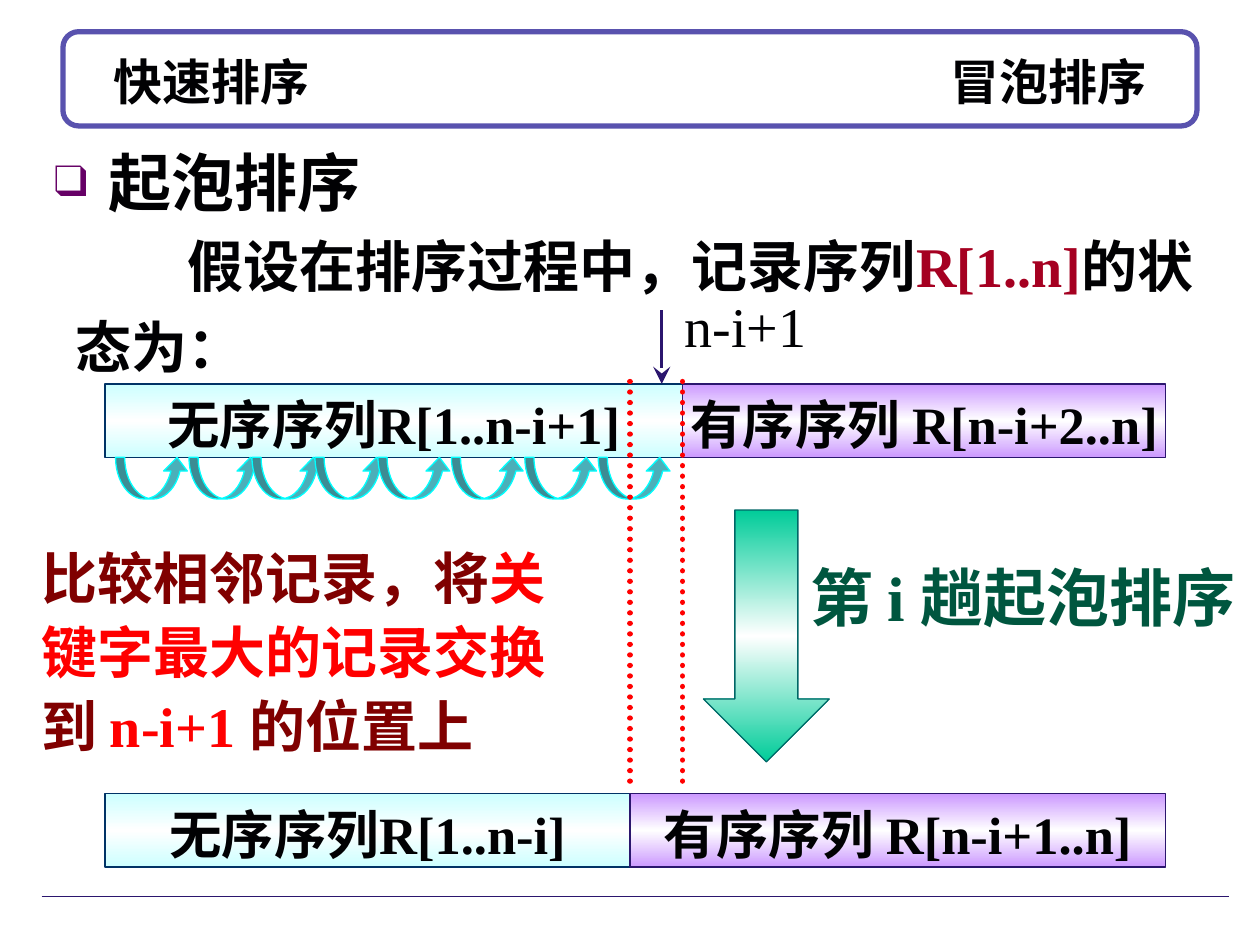
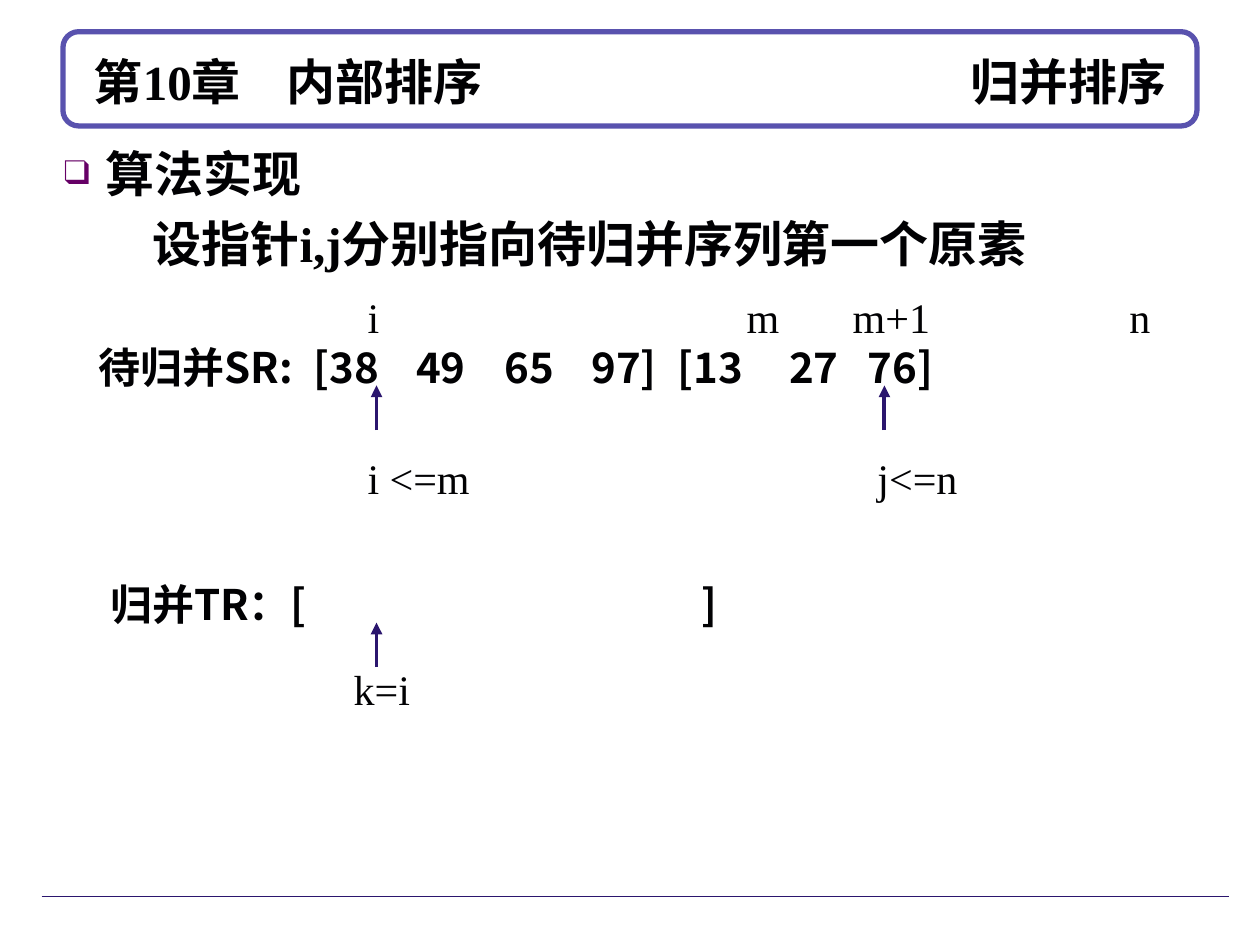
"""Build two slides on bubble sort and merge sort."""
from copy import deepcopy
from dataclasses import dataclass

from lxml import etree
from pptx import Presentation
from pptx import util as u
from pptx.dml.color import RGBColor
from pptx.enum import dml, shapes, text
from pptx.oxml.ns import qn

BLACK = RGBColor(0x01, 0x01, 0x03)
WHITE = RGBColor(0xFF, 0xFF, 0xFF)
NAVY = RGBColor(0x2B, 0x16, 0x6E)
FRAME_VIOLET = RGBColor(0x59, 0x52, 0xAE)
BULLET_PURPLE = RGBColor(0x66, 0x00, 0x66)
CRIMSON = RGBColor(0xA5, 0x00, 0x21)
MAROON = RGBColor(0x80, 0x00, 0x00)
RED = RGBColor(0xFF, 0x00, 0x00)
GREEN = RGBColor(0x00, 0x56, 0x3F)
PALE_CYAN = RGBColor(0xCC, 0xFF, 0xFF)
CYAN = RGBColor(0x00, 0xFF, 0xFF)
DARK_BLUE = RGBColor(0x00, 0x33, 0x66)
LILAC = RGBColor(0xCC, 0x99, 0xFF)
MINT = RGBColor(0x00, 0xCC, 0x99)
TEAL = RGBColor(0x00, 0x66, 0x66)
SWAP_TEAL = RGBColor(0x4B, 0xAF, 0xB9)
SERIF = "Times New Roman"
SANS = "Noto Sans CJK SC"


@dataclass(frozen=True)
class Box:
    left: float
    top: float
    width: float
    height: float

    def lengths(self):
        return [u.Cm(side) for side in (self.left, self.top, self.width, self.height)]


@dataclass(frozen=True)
class Label:
    box: Box
    content: str
    font: str = SERIF
    bold: bool = False
    tabs: tuple = ()


@dataclass(frozen=True)
class Segment:
    box: Box
    content: str
    edge: RGBColor
    line: RGBColor


def write(paragraph, content, *, size=24, color=BLACK, bold=True, font=SERIF,
          spacing=1.1, align=text.PP_ALIGN.LEFT, tabs=(), margin=0.0,
          indent=0.0, bullet=False, before=0.0):
    """Write text, or (text, colour) pairs, with its paragraph format."""
    paragraph.alignment = align
    paragraph.line_spacing = spacing
    paragraph.space_before = u.Pt(before)
    properties = paragraph._p.get_or_add_pPr()
    if margin or indent:
        properties.set("marL", str(u.Cm(margin)))
        properties.set("indent", str(u.Cm(indent)))
    if bullet:
        bullet_color = etree.SubElement(properties, qn("a:buClr"))
        etree.SubElement(bullet_color, qn("a:srgbClr"), val=str(BULLET_PURPLE))
        etree.SubElement(properties, qn("a:buSzPct"), val="70000")
        etree.SubElement(properties, qn("a:buFont"), typeface=SERIF)
        etree.SubElement(properties, qn("a:buChar"), char="❑")
    if tabs:
        tab_list = etree.SubElement(properties, qn("a:tabLst"))
        for position, kind in tabs:
            etree.SubElement(tab_list, qn("a:tab"), pos=str(u.Cm(position)), algn=kind)
    pieces = [(content, color)] if isinstance(content, str) else content
    for piece, piece_color in pieces:
        run = paragraph.add_run()
        run.text = piece
        run.font.size = u.Pt(size)
        run.font.bold = bold
        run.font.color.rgb = piece_color
        run.font.name = font
        etree.SubElement(run._r.get_or_add_rPr(), qn("a:ea"), typeface=SANS)


def add_text(slide, box: Box, content, **style):
    """Add a wrapping text box and return its frame."""
    frame = slide.shapes.add_textbox(*box.lengths()).text_frame
    frame.word_wrap = True
    write(frame.paragraphs[0], content, **style)
    return frame


def add_label(slide, label: Label):
    """Add one row of text set out with left tab stops."""
    add_text(slide, label.box, label.content, font=label.font, bold=label.bold,
             tabs=[(position, "l") for position in label.tabs])


def add_line(slide, start, end, color, width, *, head=None, head_size="med", dash=None):
    """Draw a straight line with an optional arrowhead or round dots."""
    connector = slide.shapes.add_connector(
        shapes.MSO_CONNECTOR.STRAIGHT, *[u.Cm(value) for value in (*start, *end)])
    connector.line.color.rgb = color
    connector.line.width = u.Pt(width)
    outline = connector.line._get_or_add_ln()
    if dash:
        connector.line.dash_style = dash
        outline.set("cap", "rnd")
    if head:
        etree.SubElement(outline, qn("a:tailEnd"), type=head, w=head_size, len=head_size)
    etree.SubElement(connector._element.spPr, qn("a:effectLst"))


def add_figure(slide, kind, box: Box, line, *, width=0.75, fill=None, edge=None,
               adjustments=()):
    """Draw a preset shape, plain, filled or with a white-centred gradient."""
    shape = slide.shapes.add_shape(kind, *box.lengths())
    shape.shadow.inherit = False
    for index, value in enumerate(adjustments):
        shape.adjustments[index] = value
    shape.line.color.rgb = line
    shape.line.width = u.Pt(width)
    if edge:
        shape.fill.gradient()
        shape.fill.gradient_angle = 90
        stops = shape._element.spPr.find(qn("a:gradFill")).find(qn("a:gsLst"))
        stops.insert(1, deepcopy(stops[0]))
        for stop, position, color in zip(
                shape.fill.gradient_stops, (0, 0.5, 1), (edge, WHITE, edge)):
            stop.position = position
            stop.color.rgb = color
    elif fill:
        shape.fill.solid()
        shape.fill.fore_color.rgb = fill
    else:
        shape.fill.background()
    return shape


def add_segment(slide, segment: Segment):
    """Draw one labelled part of the record sequence."""
    shape = add_figure(slide, shapes.MSO_SHAPE.RECTANGLE, segment.box,
                       segment.line, edge=segment.edge)
    frame = shape.text_frame
    frame.word_wrap = False
    frame.vertical_anchor = text.MSO_ANCHOR.MIDDLE
    write(frame.paragraphs[0], segment.content, size=30, align=text.PP_ALIGN.CENTER)


def add_titled_slide(presentation, heading, tabs):
    """Add a slide with the framed title and the footer rule."""
    slide = presentation.slides.add_slide(presentation.slide_layouts[5])
    add_figure(slide, shapes.MSO_SHAPE.ROUNDED_RECTANGLE,
               Box(1.27, 0.64, 22.86, 1.9), FRAME_VIOLET, width=3)
    add_line(slide, (0.84, 18.08), (24.77, 18.08), NAVY, 0.75)
    title = slide.shapes.title
    title.left, title.top, title.width, title.height = Box(1.27, 0.84, 22.86, 1.57).lengths()
    frame = title.text_frame
    frame.auto_size = text.MSO_AUTO_SIZE.NONE
    frame.vertical_anchor = text.MSO_ANCHOR.MIDDLE
    write(frame.paragraphs[0], heading, size=28, spacing=1.0, tabs=tabs)
    return slide


def build_bubble_sort(presentation):
    """Show one pass of bubble sort."""
    slide = add_titled_slide(presentation, "\t快速排序\t冒泡排序",
                             [(0.76, "l"), (21.59, "r")])
    add_text(slide, Box(0.84, 2.62, 7.62, 1.96), "起泡排序", size=36,
             bullet=True, margin=1.1, indent=-1.1)
    add_text(slide, Box(1.27, 4.27, 23.77, 3.53),
             [("假设在排序过程中，记录序列", BLACK), ("R[1..n]", CRIMSON),
              ("的状态为：", BLACK)], size=32, spacing=1.2, indent=2.26)
    add_text(slide, Box(16.08, 10.9, 9.32, 2.01), "第 i 趟起泡排序",
             size=36, color=GREEN, spacing=1.15)

    left, right, height = 2.12, 23.5, 1.48
    sequences = [
        (7.74, 13.76, "无序序列R[1..n-i+1]", "有序序列 R[n-i+2..n]"),
        (16.0, 12.7, "无序序列R[1..n-i]", "有序序列 R[n-i+1..n]"),
    ]
    for top, split, unsorted, ordered in sequences:
        add_segment(slide, Segment(Box(left, top, split - left, height),
                                   unsorted, PALE_CYAN, DARK_BLUE))
        add_segment(slide, Segment(Box(split, top, right - split, height),
                                   ordered, LILAC, NAVY))

    add_line(slide, (13.34, 6.25), (13.34, 7.74), NAVY, 1.5,
             head="stealth", head_size="lg")
    add_text(slide, Box(13.55, 5.61, 3.3, 1.75), "n-i+1", size=32, bold=False)
    add_figure(slide, shapes.MSO_SHAPE.DOWN_ARROW, Box(14.18, 10.28, 2.54, 5.08),
               TEAL, edge=MINT, adjustments=(0.5, 0.5))
    add_text(slide, Box(0.58, 10.7, 11.68, 4.72),
             [("比较相邻记录，将", MAROON), ("关键字最大的记录交换", RED),
              ("到 ", MAROON), ("n-i+1 ", RED), ("的位置上", MAROON)], size=32)
    for swap_left in (2.33, 3.81, 5.08, 6.35, 7.62, 9.1, 10.58, 12.06):
        add_figure(slide, shapes.MSO_SHAPE.CURVED_UP_ARROW,
                   Box(swap_left, 9.22, 1.48, 0.84), CYAN, fill=SWAP_TEAL,
                   adjustments=(0.22, 0.57, 0.33))
    for _, split, *_ in sequences:
        add_line(slide, (split, 7.69), (split, 15.95), RED, 3,
                 dash=dml.MSO_LINE.ROUND_DOT)


def build_merge_sort(presentation):
    """Show the pointers at the start of a merge."""
    slide = add_titled_slide(presentation, "\t第10章\t内部排序\t归并排序",
                             [(0.37, "l"), (4.26, "l"), (21.98, "r")])
    labels = [
        Label(Box(1.35, 6.65, 23.39, 1.24),
              "\t待归并SR:\t[38\t49\t65\t97]\t[13\t27\t76]", SANS, True,
              (0.38, 4.72, 6.79, 8.57, 10.32, 12.06, 14.31, 15.89)),
        Label(Box(1.02, 11.43, 23.83, 1.24), "\t归并TR：[\t]", SANS, True,
              (0.95, 12.88)),
        Label(Box(7.16, 5.66, 17.25, 1.3), "i\tm\tm+1\tn", tabs=(7.64, 9.78, 15.36)),
        Label(Box(7.16, 8.9, 17.25, 1.3), "i <=m\tj<=n", tabs=(10.28,)),
        Label(Box(6.88, 13.16, 17.25, 1.3), "k=i"),
    ]
    for label in labels:
        add_label(slide, label)
    frame = add_text(slide, Box(1.04, 2.66, 22.96, 2.92), "算法实现", size=28,
                     bullet=True, margin=0.84, indent=-0.84)
    write(frame.add_paragraph(), "设指针i,j分别指向待归并序列第一个原素",
          size=28, indent=1.79, before=2.8)
    for x, tip in ((7.59, 7.77), (17.83, 7.77), (7.59, 12.55)):
        add_line(slide, (x, tip + 0.9), (x, tip), NAVY, 2.25, head="triangle")


def main():
    """Create and save the presentation."""
    presentation = Presentation()
    presentation.slide_width = u.Cm(25.4)
    presentation.slide_height = u.Cm(19.05)
    build_bubble_sort(presentation)
    build_merge_sort(presentation)
    presentation.save("out.pptx")


if __name__ == "__main__":
    main()
